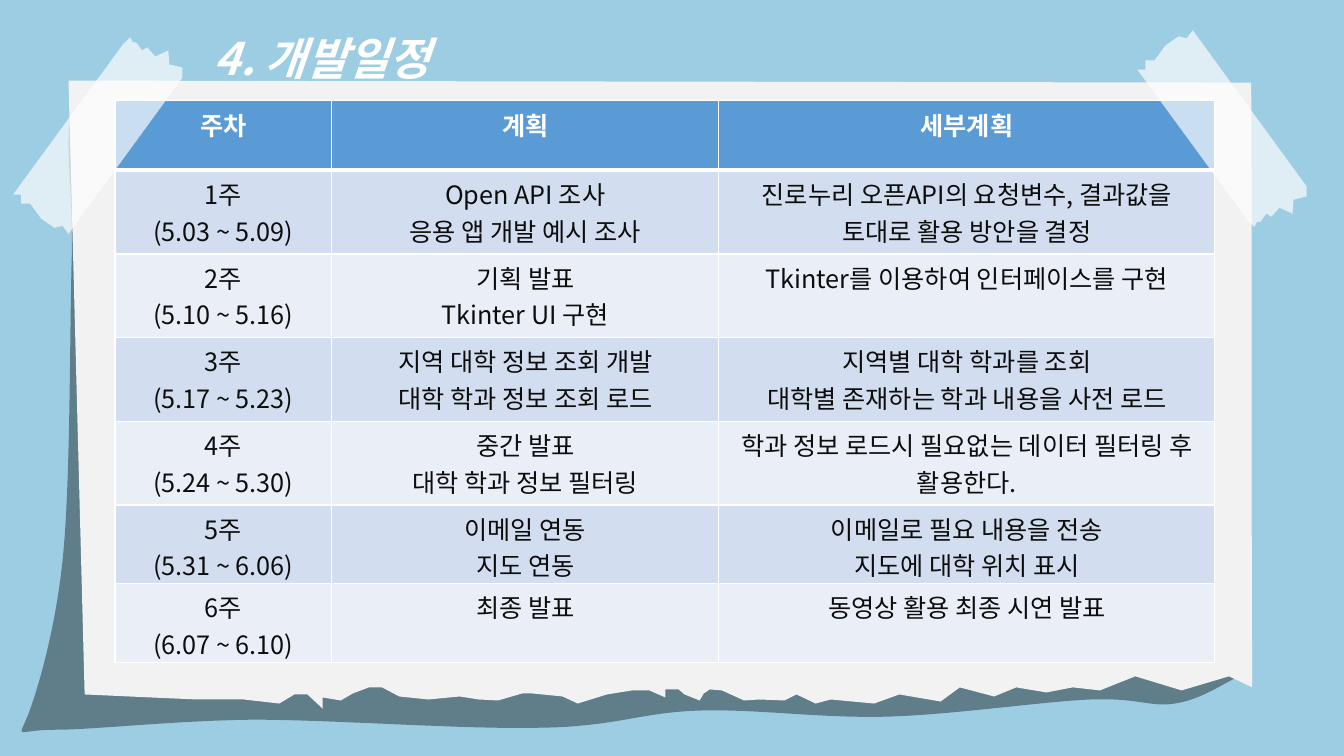
"""Build the development schedule slide: a taped paper sheet with a weekly table."""
import lxml.etree
import pptx
import pptx.dml.color
import pptx.enum.text
import pptx.oxml.ns
import pptx.util

FONT = "Noto Sans CJK KR"
COLORS = {
    "sky": "9DCDE3", "shade": "000000", "paper": "F2F2F2", "white": "FFFFFF",
    "header": "5B9BD5", "odd": "D2DEEF", "even": "EAEFF7", "ink": "0D0D0D",
}
TITLE = "4. 개발일정"
SCHEDULE = [
    ("주차", "계획", "세부계획"),
    ("1주\n(5.03 ~ 5.09)", "Open API 조사\n응용 앱 개발 예시 조사",
     "진로누리 오픈API의 요청변수, 결과값을 토대로 활용 방안을 결정"),
    ("2주\n(5.10 ~ 5.16)", "기획 발표\nTkinter UI 구현", "Tkinter를 이용하여 인터페이스를 구현"),
    ("3주\n(5.17 ~ 5.23)", "지역 대학 정보 조회 개발\n대학 학과 정보 조회 로드",
     "지역별 대학 학과를 조회\n대학별 존재하는 학과 내용을 사전 로드"),
    ("4주\n(5.24 ~ 5.30)", "중간 발표\n대학 학과 정보 필터링",
     "학과 정보 로드시 필요없는 데이터 필터링 후 활용한다."),
    ("5주\n(5.31 ~ 6.06)", "이메일 연동\n지도 연동", "이메일로 필요 내용을 전송\n지도에 대학 위치 표시"),
    ("6주\n(6.07 ~ 6.10)", "최종 발표", "동영상 활용 최종 시연 발표"),
]
COLUMN_WIDTHS = (2.15, 3.84, 4.92)
ROW_HEIGHTS = (0.69, 0.83, 0.83, 0.83, 0.83, 0.78, 0.78)
TITLE_FORMAT = {"size": pptx.util.Pt(32), "bold": True, "italic": True}
HEADER_FORMAT = {"size": pptx.util.Pt(18), "bold": True}
BODY_FORMAT = {"size": pptx.util.Pt(18), "bold": False}

# Pairs are straight segments; six numbers are two control points and an end.
SHADOW = [
    (0.75, 1.05), (0.6, 1.23, 0.74, 1.88, 0.71, 2.63),
    (0.69, 3.39, 0.7, 4.82, 0.62, 5.57), (0.54, 6.33, 0.33, 6.99, 0.25, 7.16),
    (0.18, 7.33, 0.18, 7.24, 0.56, 7.24), (0.93, 7.24, 1.71, 7.15, 2.51, 7.14),
    (3.31, 7.14, 4.63, 7.24, 5.37, 7.22), (6.1, 7.21, 6.35, 7.07, 6.92, 7.05),
    (7.49, 7.03, 8.16, 7.13, 8.81, 7.11), (9.46, 7.09, 10.34, 6.96, 10.81, 6.94),
    (11.28, 6.92, 11.42, 7.02, 11.65, 6.98), (11.88, 6.95, 12.11, 6.8, 12.21, 6.75),
    (12.3, 6.69, 12.25, 6.79, 12.21, 6.63), (12.16, 6.48, 12.32, 6.11, 11.95, 5.81),
    (11.58, 5.51, 10.84, 5.19, 10, 4.84), (9.16, 4.49, 7.82, 4.07, 6.9, 3.7),
    (5.99, 3.33, 5.4, 2.98, 4.52, 2.62), (3.64, 2.26, 2.25, 1.79, 1.62, 1.54),
    (0.99, 1.29, 0.9, 0.87, 0.75, 1.05),
]
PAPER = [
    (0.68, 0.8), (12.41, 0.82), (12.42, 2.85, 12.41, 4.8, 12.42, 6.82),
    (12.19, 6.71), (11.72, 6.85), (11.26, 6.71), (10.91, 6.85), (10.64, 6.82),
    (10.38, 6.87), (10.08, 6.82), (9.86, 6.91), (9.52, 6.82), (9.33, 6.96),
    (8.92, 6.89), (8.67, 6.98), (8.24, 6.94), (8.09, 6.98), (7.9, 6.89),
    (7.78, 6.95), (7.53, 6.94), (7.38, 6.95), (7.16, 6.85), (7.04, 6.84),
    (6.98, 6.88), (6.94, 6.95), (6.79, 6.89), (6.73, 6.84), (6.6, 6.84),
    (6.6, 6.92), (6.44, 6.85), (6.27, 6.85), (6.02, 6.89), (5.73, 6.98),
    (5.58, 6.91), (5.28, 6.88), (5.18, 6.88), (4.94, 6.95), (4.75, 6.94),
    (4.56, 6.91), (4.25, 6.94), (3.96, 6.91), (3.79, 6.82), (3.66, 6.82),
    (3.5, 6.88), (3.38, 6.95), (3.2, 6.92), (3.2, 7.03), (3.05, 6.89),
    (2.92, 6.89), (2.77, 6.98), (2.42, 6.94), (1.96, 6.94), (1.5, 6.92), (0.84, 6.89),
]
LEFT_TAPE = [
    (1.22, 0.44), (0.13, 1.93), (0.21, 1.93), (0.21, 2.02), (0.3, 2.02),
    (0.41, 2.17), (0.54, 2.26), (0.62, 2.24), (0.68, 2.32), (1.81, 0.77),
    (1.81, 0.67), (1.68, 0.64), (1.67, 0.5), (1.54, 0.56), (1.46, 0.47),
    (1.41, 0.5), (1.35, 0.42), (1.32, 0.42), (1.29, 0.37),
]
RIGHT_TAPE = [(x + 11.15, 2.62 - y) for x, y in LEFT_TAPE]
CURVE_STEPS = 16


def length(inches):
    return pptx.util.Cm(inches * 2.54)


def color(name):
    return pptx.dml.color.RGBColor.from_string(COLORS[name])


def add_element(parent, tag, **attributes):
    return lxml.etree.SubElement(parent, pptx.oxml.ns.qn(tag), attributes)


def flatten(outline):
    points = [outline[0]]
    for segment in outline[1:]:
        if len(segment) == 2:
            points.append(segment)
            continue
        start = points[-1]
        controls = (start, segment[:2], segment[2:4], segment[4:])
        for step in range(1, CURVE_STEPS + 1):
            t = step / CURVE_STEPS
            weights = ((1 - t) ** 3, 3 * t * (1 - t) ** 2, 3 * t * t * (1 - t), t ** 3)
            points.append(tuple(sum(weight * point[axis] for weight, point in zip(weights, controls))
                                for axis in (0, 1)))
    return [(length(x), length(y)) for x, y in points]


def add_outline(slide, outline, fill, opacity=100):
    points = flatten(outline)
    builder = slide.shapes.build_freeform(*points[0])
    builder.add_line_segments(points[1:], close=True)
    shape = builder.convert_to_shape()
    shape.shadow.inherit = False
    shape.line.fill.background()
    shape.fill.solid()
    shape.fill.fore_color.rgb = color(fill)
    if opacity < 100:
        rgb = shape._element.spPr.find(".//" + pptx.oxml.ns.qn("a:srgbClr"))
        add_element(rgb, "a:alpha", val=str(opacity * 1000))


def write(paragraph, text, text_color, formats):
    run = paragraph.add_run()
    run.text = text
    run.font.name = FONT
    run.font.color.rgb = color(text_color)
    for name, value in formats.items():
        setattr(run.font, name, value)
    add_element(run._r.get_or_add_rPr(), "a:ea", typeface=FONT)


def add_title(slide):
    box = slide.shapes.add_textbox(length(2.02), length(-0.01), length(4.53), length(0.8))
    box.text_frame.word_wrap = True
    box.text_frame.auto_size = pptx.enum.text.MSO_AUTO_SIZE.SHAPE_TO_FIT_TEXT
    paragraph = box.text_frame.paragraphs[0]
    paragraph.line_spacing = 1.5
    write(paragraph, TITLE, "white", TITLE_FORMAT)


def fill_cell(cell, text, row):
    widths = {"a:lnL": 1, "a:lnR": 1, "a:lnT": 3 if row == 1 else 1, "a:lnB": 3 if row == 0 else 1}
    for tag, width in widths.items():
        border = add_element(cell._tc.get_or_add_tcPr(), tag, w=str(pptx.util.Pt(width)))
        add_element(add_element(border, "a:solidFill"), "a:srgbClr", val=COLORS["white"])
    cell.fill.solid()
    cell.fill.fore_color.rgb = color("header" if row == 0 else ("even", "odd")[row % 2])
    for index, line in enumerate(text.split("\n")):
        paragraph = cell.text_frame.add_paragraph() if index else cell.text_frame.paragraphs[0]
        paragraph.alignment = pptx.enum.text.PP_ALIGN.CENTER
        write(paragraph, line, "ink" if row else "white", BODY_FORMAT if row else HEADER_FORMAT)


def add_schedule(slide):
    frame = slide.shapes.add_table(len(SCHEDULE), len(COLUMN_WIDTHS), length(1.14), length(1),
                                   length(sum(COLUMN_WIDTHS)), length(sum(ROW_HEIGHTS)))
    table = frame.table
    for column, width in zip(table.columns, COLUMN_WIDTHS):
        column.width = length(width)
    for row, height in enumerate(ROW_HEIGHTS):
        table.rows[row].height = length(height)
        for column, text in enumerate(SCHEDULE[row]):
            fill_cell(table.cell(row, column), text, row)


presentation = pptx.Presentation()
presentation.slide_width = length(13.33)
presentation.slide_height = length(7.5)
slide = presentation.slides.add_slide(presentation.slide_layouts[6])
slide.background.fill.solid()
slide.background.fill.fore_color.rgb = color("sky")
add_outline(slide, SHADOW, "shade", 39)
add_outline(slide, PAPER, "paper")
add_title(slide)
add_schedule(slide)
for tape in (LEFT_TAPE, RIGHT_TAPE):
    add_outline(slide, tape, "white", 68)
presentation.save("out.pptx")
